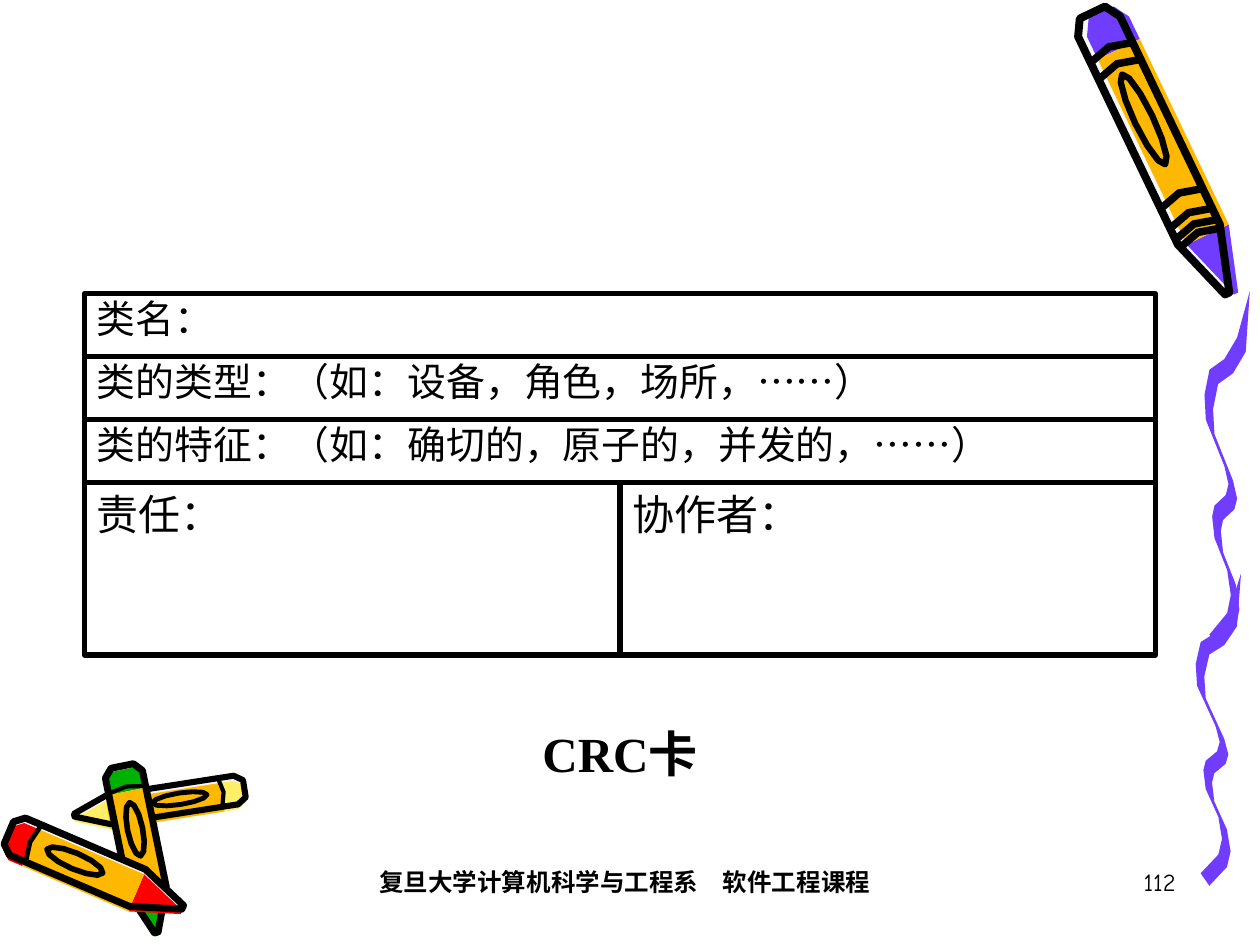
from dataclasses import dataclass
from math import cos, hypot, pi, sin
from typing import NamedTuple, Optional

from lxml.etree import SubElement
from pptx import Presentation
from pptx.dml.color import RGBColor
from pptx.enum.shapes import MSO_CONNECTOR, MSO_SHAPE
from pptx.enum.text import MSO_ANCHOR, PP_ALIGN
from pptx.oxml.ns import qn
from pptx.util import Inches, Pt

BLACK = RGBColor(0x00, 0x00, 0x00)
PURPLE = RGBColor(0x70, 0x3D, 0xFF)
ORANGE = RGBColor(0xFF, 0xB8, 0x00)
OFF_WHITE = RGBColor(0xF8, 0xF8, 0xF8)
YELLOW = RGBColor(0xFF, 0xEF, 0x66)
RED = RGBColor(0xFF, 0x00, 0x00)
GREEN = RGBColor(0x00, 0xB2, 0x00)

CJK_FONT = "Noto Sans CJK SC"
CAPTION_FONT = "Times New Roman"
FOOTER_FONT = "Comic Neue"
RULE_WIDTH = 3

CARD_LEFT, CARD_MIDDLE, CARD_RIGHT = 0.67, 4.92, 9.17
CARD_TOP, ROW_HEIGHT, CARD_BOTTOM = 2.33, 0.5, 5.2
ROW_TOPS = [CARD_TOP + row * ROW_HEIGHT for row in range(4)]


class Point(NamedTuple):
    x: float
    y: float


class Cell(NamedTuple):
    text: str
    left: float
    top: float
    right: float
    bottom: float
    size: float
    spacing: float


class Label(NamedTuple):
    text: str
    left: float
    top: float
    width: float
    height: float
    size: float
    font: str
    align: PP_ALIGN
    bold: bool = False
    anchor: MSO_ANCHOR = MSO_ANCHOR.TOP
    side_inset: float = 0.1


class Ribbon(NamedTuple):
    left: float
    top: float
    width: float
    height: float


@dataclass
class Crayon:
    butt: Point
    tip: Point
    width: float
    wax: RGBColor
    shoulder: float  # where the body ends, as a share of the length
    color_shift: Point  # how far the colours are printed off the ink
    ink_width: float
    bands: tuple = (0.13,)

    def place(self, along: float, across: float) -> Point:
        """Point at a share of the length and of the half width, across running from -1 to 1."""
        dx, dy = self.tip.x - self.butt.x, self.tip.y - self.butt.y
        side = across * self.width / 2 / hypot(dx, dy)
        return Point(self.butt.x + along * dx - side * dy, self.butt.y + along * dy + side * dx)


CAP_END = 0.13
BAND_THICKNESS, BAND_BOW = 0.025, 0.02
OVAL_CENTER, OVAL_LENGTH, OVAL_WIDTH, OVAL_CORNERS = 0.38, 0.32, 0.8, 12

CRAYONS = [
    Crayon(Point(1.94, 6.26), Point(0.59, 6.47), 0.23, YELLOW, 0.8, Point(0, 0.04), 3.5),
    Crayon(Point(0.97, 6.08), Point(1.24, 7.4), 0.3, GREEN, 0.75, Point(0, 0.03), 4),
    Crayon(Point(0.07, 6.61), Point(1.45, 7.2), 0.32, RED, 0.74, Point(-0.01, 0.04), 4),
    Crayon(Point(8.67, 0.1), Point(9.74, 2.33), 0.37, PURPLE, 0.79, Point(0.07, 0), 4.5,
           (0.13, 0.19, 0.65, 0.72, 0.76, 0.79)),
]

# The ribbon is drawn by a slanted pen: its far edge is its near edge moved by the nib.
RIBBON_START = Point(1, 0)
RIBBON_BENDS = [
    Point(0.72, 0.13), Point(0.44, 0.19), Point(0.11, 0.22), Point(0, 0.29), Point(0.03, 0.36),
    Point(0.44, 0.49), Point(0.53, 0.54), Point(0.47, 0.57), Point(0.22, 0.6), Point(0.17, 0.63),
    Point(0.22, 0.69), Point(0.5, 0.78), Point(0.58, 0.85), Point(0.5, 0.9), Point(0.11, 0.96),
]
NIB = Point(0.19, 0.04)
RIBBONS = [Ribbon(9.49, 4.55, 0.36, 2.48), Ribbon(9.56, 2.31, 0.36, 2.84)]

HEADINGS = ["类名：", "类的类型：（如：设备，角色，场所，……）", "类的特征：（如：确切的，原子的，并发的，……）"]
CELLS = [
    Cell(heading, CARD_LEFT, top, CARD_RIGHT, top + ROW_HEIGHT, 22.2, 0.9)
    for heading, top in zip(HEADINGS, ROW_TOPS)
] + [
    Cell("责任：", CARD_LEFT, ROW_TOPS[3], CARD_MIDDLE, CARD_BOTTOM, 24, 1.0),
    Cell("协作者：", CARD_MIDDLE, ROW_TOPS[3], CARD_RIGHT, CARD_BOTTOM, 24, 1.0),
]

LABELS = [
    Label("CRC卡", 4.17, 5.6, 1.5, 0.75, 28, CAPTION_FONT, PP_ALIGN.CENTER, True, MSO_ANCHOR.MIDDLE, 0),
    Label("复旦大学计算机科学与工程系　软件工程课程", 2, 6.83, 5.92, 0.5, 14, FOOTER_FONT, PP_ALIGN.CENTER, True),
    Label("112", 7.35, 6.83, 2.08, 0.5, 14, FOOTER_FONT, PP_ALIGN.RIGHT),
]


def style_shape(shape, fill: Optional[RGBColor], ink_width: float = 0) -> None:
    """Fill the shape, or leave it clear, and give it a black line unless the width is zero."""
    shape.shadow.inherit = False
    if fill is None:
        shape.fill.background()
    else:
        shape.fill.solid()
        shape.fill.fore_color.rgb = fill
    if ink_width:
        shape.line.color.rgb = BLACK
        shape.line.width = Pt(ink_width)
    else:
        shape.line.fill.background()


def draw_polygon(slide, points: list[Point], fill: Optional[RGBColor], ink_width: float = 0) -> None:
    start, *corners = [(Inches(x), Inches(y)) for x, y in points]
    builder = slide.shapes.build_freeform(*start)
    builder.add_line_segments(corners, close=True)
    style_shape(builder.convert_to_shape(), fill, ink_width)


def draw_crayon(slide, crayon: Crayon) -> None:
    def outline(*spots: tuple, shift: Point = Point(0, 0)) -> list[Point]:
        placed = [crayon.place(along, across) for along, across in spots]
        return [Point(p.x + shift.x, p.y + shift.y) for p in placed]

    shoulder, shift = crayon.shoulder, crayon.color_shift
    cap = [(CAP_END, -1), (0.05, -1), (0, -0.6), (0, 0.6), (0.05, 1), (CAP_END, 1)]
    cone = [(shoulder, 1), (1, 0.1), (1, -0.1), (shoulder, -1)]
    body = [(CAP_END, -1), (CAP_END, 1), (shoulder, 1), (shoulder, -1)]
    silhouette = outline(*cap, *cone)

    draw_polygon(slide, silhouette, OFF_WHITE)
    for part, color in [(cap, crayon.wax), (cone, crayon.wax), (body, ORANGE)]:
        draw_polygon(slide, outline(*part, shift=shift), color)
    for band in crayon.bands:
        end = band + BAND_THICKNESS
        draw_polygon(slide, outline((band, -1), (band - BAND_BOW, 0), (band, 1),
                                    (end, 1), (end - BAND_BOW, 0), (end, -1)), BLACK)
    turns = [2 * pi * corner / OVAL_CORNERS for corner in range(OVAL_CORNERS)]
    oval = [(OVAL_CENTER + OVAL_LENGTH / 2 * cos(turn), OVAL_WIDTH / 2 * sin(turn)) for turn in turns]
    draw_polygon(slide, outline(*oval), None, crayon.ink_width * 0.8)
    draw_polygon(slide, silhouette, None, crayon.ink_width)


def draw_ribbon(slide, ribbon: Ribbon) -> None:
    far_edge = [Point(bend.x + NIB.x, bend.y + NIB.y) for bend in reversed(RIBBON_BENDS)]
    edge = [RIBBON_START, *RIBBON_BENDS, *far_edge]
    draw_polygon(slide, [Point(ribbon.left + x * ribbon.width, ribbon.top + y * ribbon.height) for x, y in edge],
                 PURPLE)


def draw_rule(slide, start: Point, end: Point) -> None:
    ends = [Inches(length) for length in (*start, *end)]
    rule = slide.shapes.add_connector(MSO_CONNECTOR.STRAIGHT, *ends)
    rule.line.color.rgb = BLACK
    rule.line.width = Pt(RULE_WIDTH)
    SubElement(rule._element.spPr, qn("a:effectLst"))


def write_text(frame, text: str, size: float, font: str, align: PP_ALIGN, bold: bool = False) -> None:
    frame.text = text
    frame.word_wrap = True
    paragraph = frame.paragraphs[0]
    paragraph.alignment = align
    run = paragraph.runs[0]
    run.font.size = Pt(size)
    run.font.name = font
    run.font.bold = bold
    run.font.color.rgb = BLACK
    SubElement(run.font._element, qn("a:ea")).set("typeface", CJK_FONT)


def draw_cell(slide, cell: Cell) -> None:
    box = slide.shapes.add_shape(MSO_SHAPE.RECTANGLE, Inches(cell.left), Inches(cell.top),
                                 Inches(cell.right - cell.left), Inches(cell.bottom - cell.top))
    style_shape(box, None, RULE_WIDTH)
    box.text_frame.vertical_anchor = MSO_ANCHOR.TOP
    write_text(box.text_frame, cell.text, cell.size, CJK_FONT, PP_ALIGN.LEFT)
    box.text_frame.paragraphs[0].line_spacing = cell.spacing


def draw_label(slide, label: Label) -> None:
    box = slide.shapes.add_textbox(Inches(label.left), Inches(label.top), Inches(label.width), Inches(label.height))
    frame = box.text_frame
    frame.vertical_anchor = label.anchor
    frame.margin_left = frame.margin_right = Inches(label.side_inset)
    write_text(frame, label.text, label.size, label.font, label.align, label.bold)


def main() -> None:
    deck = Presentation()
    deck.slide_width, deck.slide_height = Inches(10), Inches(7.5)
    slide = deck.slides.add_slide(deck.slide_layouts[6])
    for crayon in CRAYONS:
        draw_crayon(slide, crayon)
    for ribbon in RIBBONS:
        draw_ribbon(slide, ribbon)
    for cell in CELLS:
        draw_cell(slide, cell)
    for y in ROW_TOPS + [CARD_BOTTOM]:
        draw_rule(slide, Point(CARD_LEFT, y), Point(CARD_RIGHT, y))
    for x, top in [(CARD_LEFT, CARD_TOP), (CARD_MIDDLE, ROW_TOPS[3]), (CARD_RIGHT, CARD_TOP)]:
        draw_rule(slide, Point(x, top), Point(x, CARD_BOTTOM))
    for label in LABELS:
        draw_label(slide, label)
    deck.save("out.pptx")


if __name__ == "__main__":
    main()
